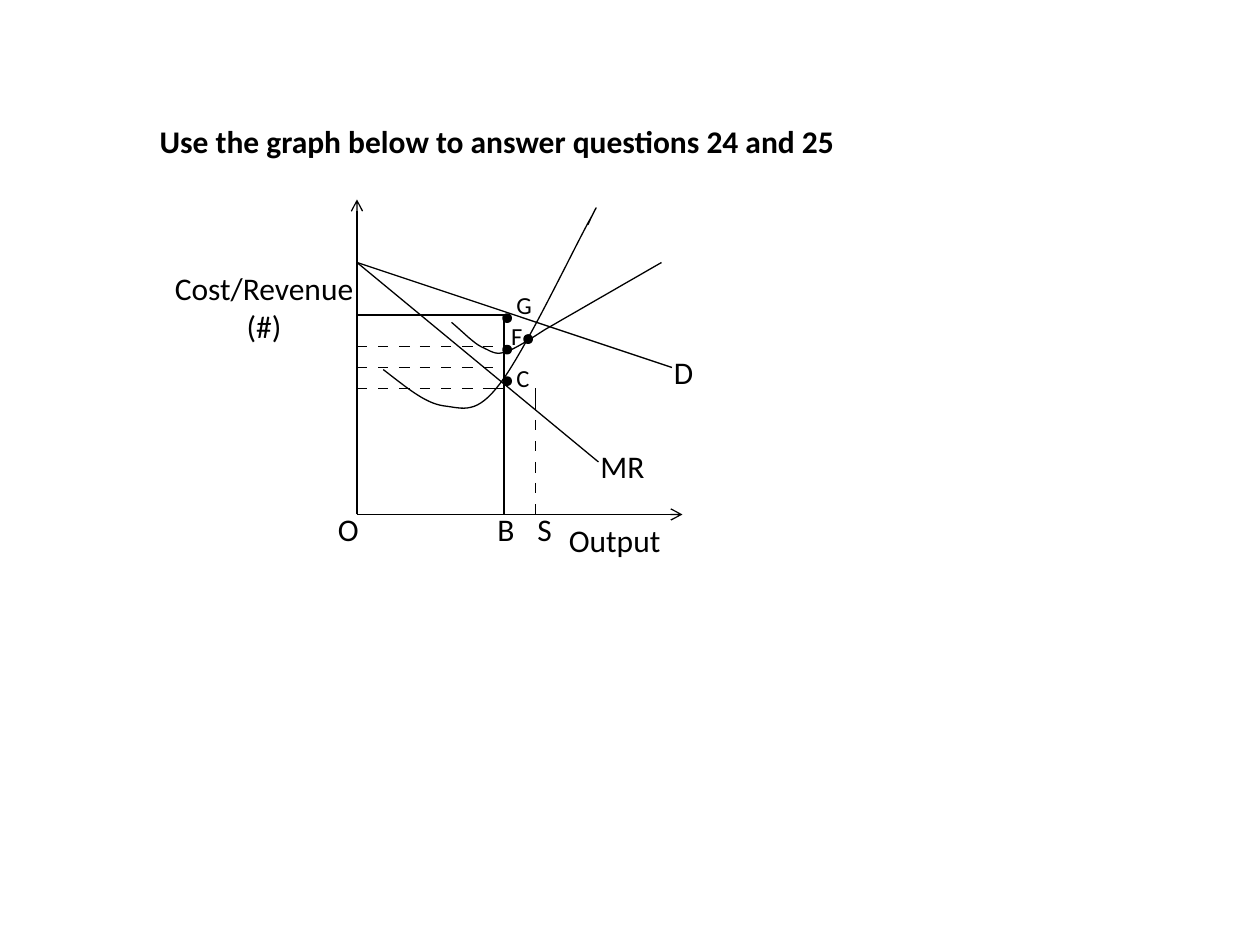
"""Build a slide with a cost and revenue graph for questions 24 and 25."""
import lxml.etree
import pptx
import pptx.dml.color
import pptx.enum.shapes
import pptx.enum.text
import pptx.oxml.ns
import pptx.util
from dataclasses import dataclass


@dataclass(frozen=True)
class Theme:
    font: str = "Calibri"
    ink: pptx.dml.color.RGBColor = pptx.dml.color.RGBColor(0, 0, 0)
    label_size: pptx.util.Length = pptx.util.Pt(18)
    point_size: pptx.util.Length = pptx.util.Pt(14)
    line_width: pptx.util.Length = pptx.util.Pt(0.75)
    dot_outline: pptx.util.Length = pptx.util.Pt(2)


theme = Theme()
presentation = pptx.Presentation()
presentation.slide_width = pptx.util.Inches(10)
presentation.slide_height = pptx.util.Inches(7.5)
slide = presentation.slides.add_slide(presentation.slide_layouts[5])
unit = presentation.slide_width // 120


def add_text(text, column, row, width, height, size=theme.label_size, bold=False,
             align=pptx.enum.text.PP_ALIGN.LEFT, shape=None):
    position = [round(value * unit) for value in (column, row, width, height)]
    shape = shape or slide.shapes.add_textbox(*position)
    shape.left, shape.top, shape.width, shape.height = position
    frame = shape.text_frame
    frame.text = text
    frame.word_wrap = False
    frame.auto_size = pptx.enum.text.MSO_AUTO_SIZE.NONE
    frame.vertical_anchor = pptx.enum.text.MSO_ANCHOR.TOP
    for paragraph in frame.paragraphs:
        paragraph.alignment = align
        paragraph.font.name = theme.font
        paragraph.font.size = size
        paragraph.font.bold = bold
        paragraph.font.color.rgb = theme.ink


def add_line(start_column, start_row, end_column, end_row, arrow=False):
    ends = [round(value * unit) for value in (start_column, start_row, end_column, end_row)]
    line = slide.shapes.add_connector(pptx.enum.shapes.MSO_CONNECTOR.STRAIGHT, *ends)
    line.line.width = theme.line_width
    line.line.color.rgb = theme.ink
    properties = line.element.spPr
    if arrow:
        outline = properties.find(pptx.oxml.ns.qn("a:ln"))
        lxml.etree.SubElement(outline, pptx.oxml.ns.qn("a:tailEnd"), type="arrow")
    lxml.etree.SubElement(properties, pptx.oxml.ns.qn("a:effectLst"))


add_text("Use the graph below to answer questions 24 and 25", 14, 11, 68, 4.8,
         bold=True, shape=slide.shapes.title)

origin_column, origin_row = 34, 49
output_column, supply_column = 48, 51

add_line(origin_column, origin_row, origin_column, 19, arrow=True)
add_line(origin_column, origin_row, 65, origin_row, arrow=True)
add_line(origin_column, 30, output_column, 30)
add_line(output_column, 30, output_column, origin_row)
add_line(origin_column, 25, 57, 44)
add_line(origin_column, 25, 64, 35)

for row in (33, 35, 37):
    for column in range(origin_column, output_column, 2):
        add_line(column, row, column + 1, row)
add_line(output_column - 1, 37, output_column, 37)
add_line(supply_column, 37, supply_column, 38)
for row in range(38, origin_row, 2):
    add_line(supply_column, row, supply_column, row + 1)

average_cost = [(43, 30.7), (44.2, 31.7), (45.2, 32.8), (46.1, 33.15),
                (47, 33.6), (47.3, 33.8), (48.2, 33.5),
                (49.2, 33.2), (51.8, 31.45), (51.8, 31.45),
                (51.8, 31.45), (63, 25), (63, 25)]
marginal_cost = [(36.5, 35.2), (38.5, 36.7), (40.4, 38.4), (42.25, 38.65),
                 (44.2, 38.9), (45.4, 39.5), (47.65, 36.5),
                 (49.9, 33.6), (54.6, 23.8), (56, 21.25),
                 (57.4, 18.7), (56.6, 20), (56, 21.4)]
steps = 16
for controls in (average_cost, marginal_cost):
    points = []
    for first in range(0, len(controls) - 1, 3):
        for step in range(1, steps + 1):
            t = step / steps
            weights = ((1 - t) ** 3, 3 * t * (1 - t) ** 2, 3 * t ** 2 * (1 - t), t ** 3)
            segment = controls[first:first + 4]
            points.append([round(unit * sum(weight * control[axis] for weight, control
                                            in zip(weights, segment))) for axis in (0, 1)])
    start_x, start_y = (round(value * unit) for value in controls[0])
    builder = slide.shapes.build_freeform(start_x, start_y)
    builder.add_line_segments(points, close=False)
    curve = builder.convert_to_shape()
    curve.shadow.inherit = False
    curve.fill.background()
    curve.line.color.rgb = theme.ink
    curve.line.width = theme.line_width

dot_size = round(0.6 * unit)
for column, row in ((48, 30), (48, 33), (48, 36), (50, 32)):
    dot = slide.shapes.add_shape(pptx.enum.shapes.MSO_SHAPE.OVAL,
                                 column * unit, row * unit, dot_size, dot_size)
    dot.shadow.inherit = False
    dot.fill.solid()
    dot.fill.fore_color.rgb = theme.ink
    dot.line.color.rgb = theme.ink
    dot.line.width = theme.dot_outline

for text, column, row, width in (("F", 47.5, 30, 3.5), ("C", 48, 34, 3.7), ("G", 48, 27, 4)):
    add_text(text, column, row, width, 4, size=theme.point_size)

for text, column, row, width in (
        ("D", 63, 33, 4.3), ("MR", 56, 42, 6.6), ("S", 50, 48, 3.8),
        ("B", 46.2, 48, 4.1), ("O", 31, 48, 4.4), ("Output", 53, 49, 11.3)):
    add_text(text, column, row, width, 4.8)

add_text("Cost/Revenue\n(#)", 15, 25, 20.3, 8.5, align=pptx.enum.text.PP_ALIGN.CENTER)

presentation.save("out.pptx")
